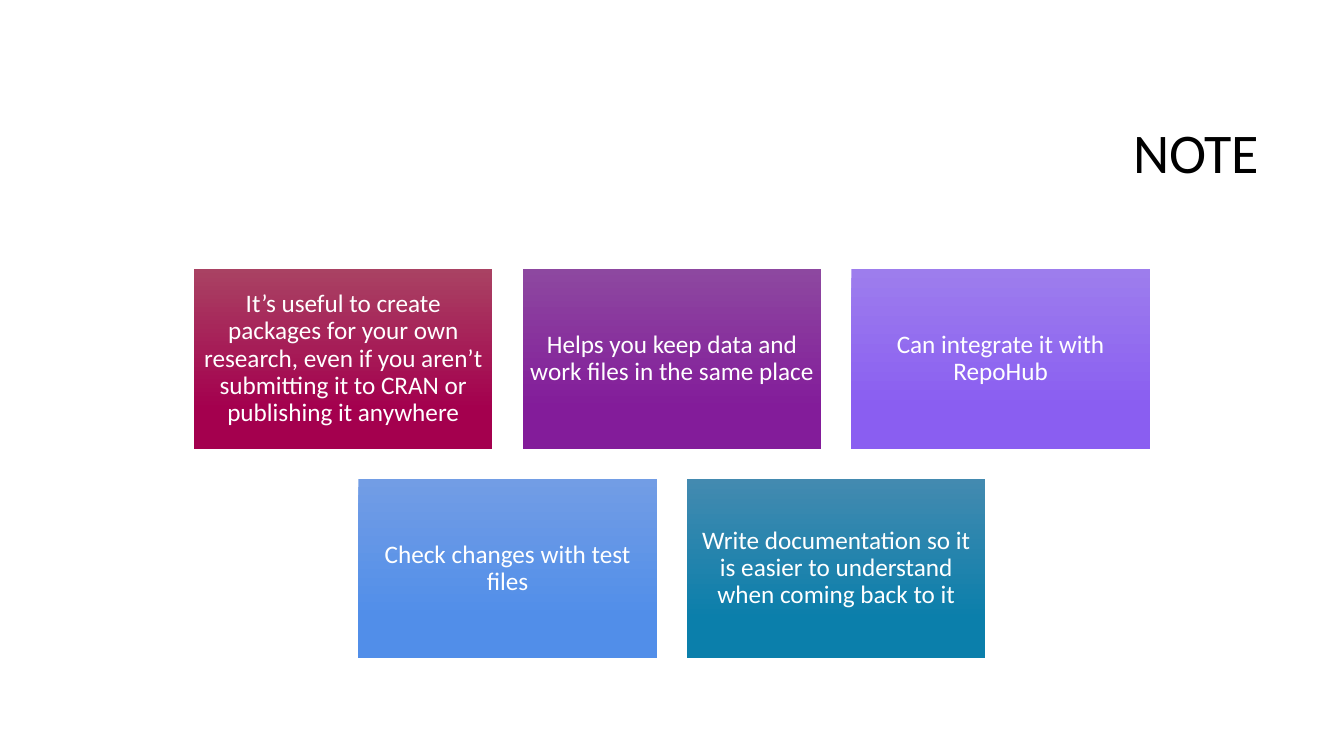
"""Build the NOTE slide: a right-aligned title above five gradient cards."""
from pptx import Presentation
from pptx.dml.color import RGBColor
from pptx.enum.shapes import MSO_SHAPE
from pptx.enum.text import MSO_ANCHOR, PP_ALIGN
from pptx.util import Inches, Pt

RECTANGLE = MSO_SHAPE.RECTANGLE
MIDDLE = MSO_ANCHOR.MIDDLE
CENTER, RIGHT = PP_ALIGN.CENTER, PP_ALIGN.RIGHT

CARD_WIDTH, CARD_HEIGHT, GAP = 2.96, 1.78, 0.3
ROWS_CENTER, ROWS_TOP = 6.665, 2.67
CARD_ROWS = [
    [
        ("It’s useful to create packages for your own research, even if you "
         "aren’t submitting it to CRAN or publishing it anywhere", "A94263", "A4004E"),
        ("Helps you keep data and work files in the same place", "8D48A0", "831C9A"),
        ("Can integrate it with RepoHub", "9D7DED", "8A5EF1"),
    ],
    [
        ("Check changes with test files", "729DE5", "518EE9"),
        ("Write documentation so it is easier to understand when coming back to it",
         "438AB0", "0B7FAB"),
    ],
]


def color(value):
    return RGBColor.from_string(value)


def write_text(shape, text, size, font_color, alignment):
    frame = shape.text_frame
    frame.word_wrap = True
    frame.vertical_anchor = MIDDLE
    paragraph = frame.paragraphs[0]
    paragraph.alignment = alignment
    paragraph.line_spacing = 0.9
    run = paragraph.add_run()
    run.text = text
    run.font.name = "Calibri"
    run.font.size = Pt(size)
    run.font.color.rgb = color(font_color)
    return frame


presentation = Presentation()
presentation.slide_width = Inches(13.33)
presentation.slide_height = Inches(7.5)
slide = presentation.slides.add_slide(presentation.slide_layouts[5])

title = slide.shapes.title
title.left, title.top = Inches(3.17), Inches(0.84)
title.width, title.height = Inches(9.42), Inches(1.41)
write_text(title, "NOTE", size=40, font_color="000000", alignment=RIGHT)

for row, cards in enumerate(CARD_ROWS):
    row_width = len(cards) * (CARD_WIDTH + GAP) - GAP
    row_left = ROWS_CENTER - row_width / 2
    top = ROWS_TOP + row * (CARD_HEIGHT + GAP)
    for column, (text, top_color, bottom_color) in enumerate(cards):
        left = row_left + column * (CARD_WIDTH + GAP)
        card = slide.shapes.add_shape(RECTANGLE, Inches(left), Inches(top),
                                      Inches(CARD_WIDTH), Inches(CARD_HEIGHT))
        card.shadow.inherit = False
        card.line.fill.background()
        card.fill.gradient()
        card.fill.gradient_angle = 270
        first_stop, last_stop = card.fill.gradient_stops
        first_stop.position, last_stop.position = 0, 0.78
        first_stop.color.rgb = color(top_color)
        last_stop.color.rgb = color(bottom_color)
        frame = write_text(card, text, size=18, font_color="FFFFFF", alignment=CENTER)
        frame.margin_left = frame.margin_right = Inches(0.07)
        frame.margin_top = frame.margin_bottom = Inches(0.07)

presentation.save("out.pptx")
